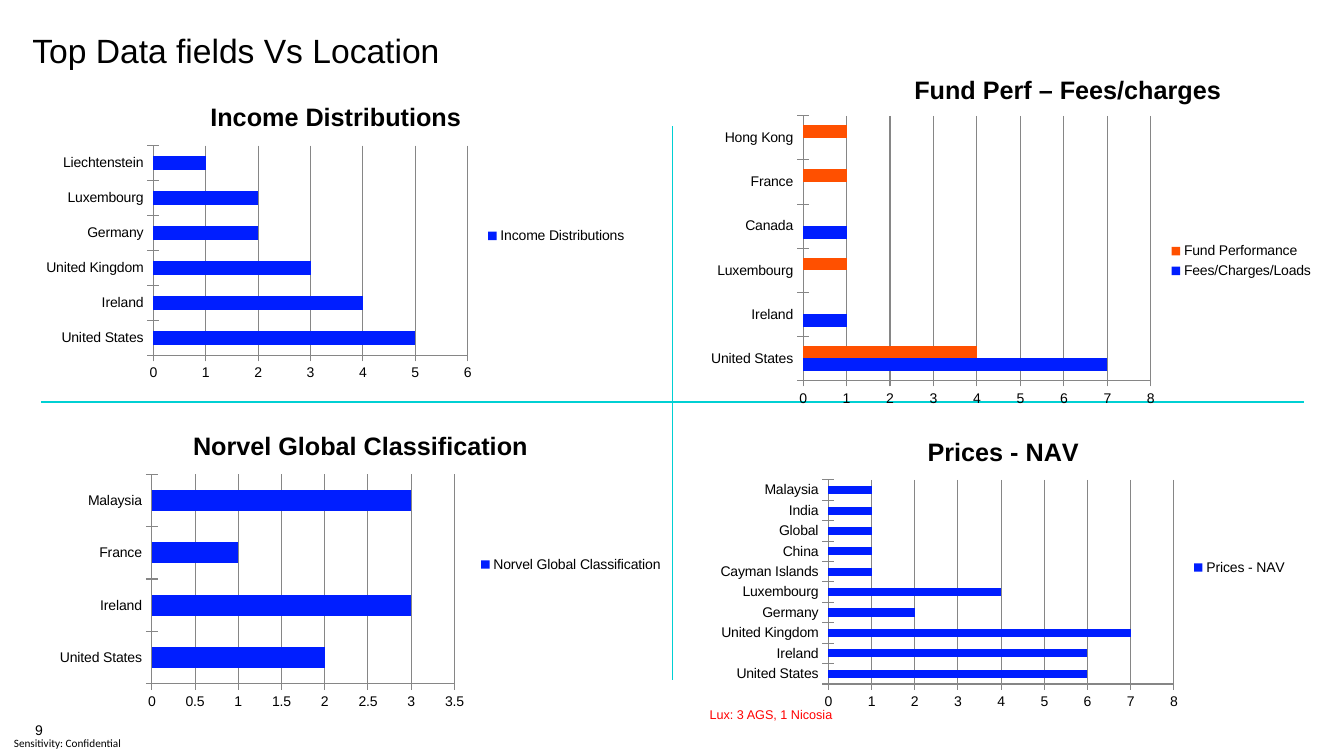
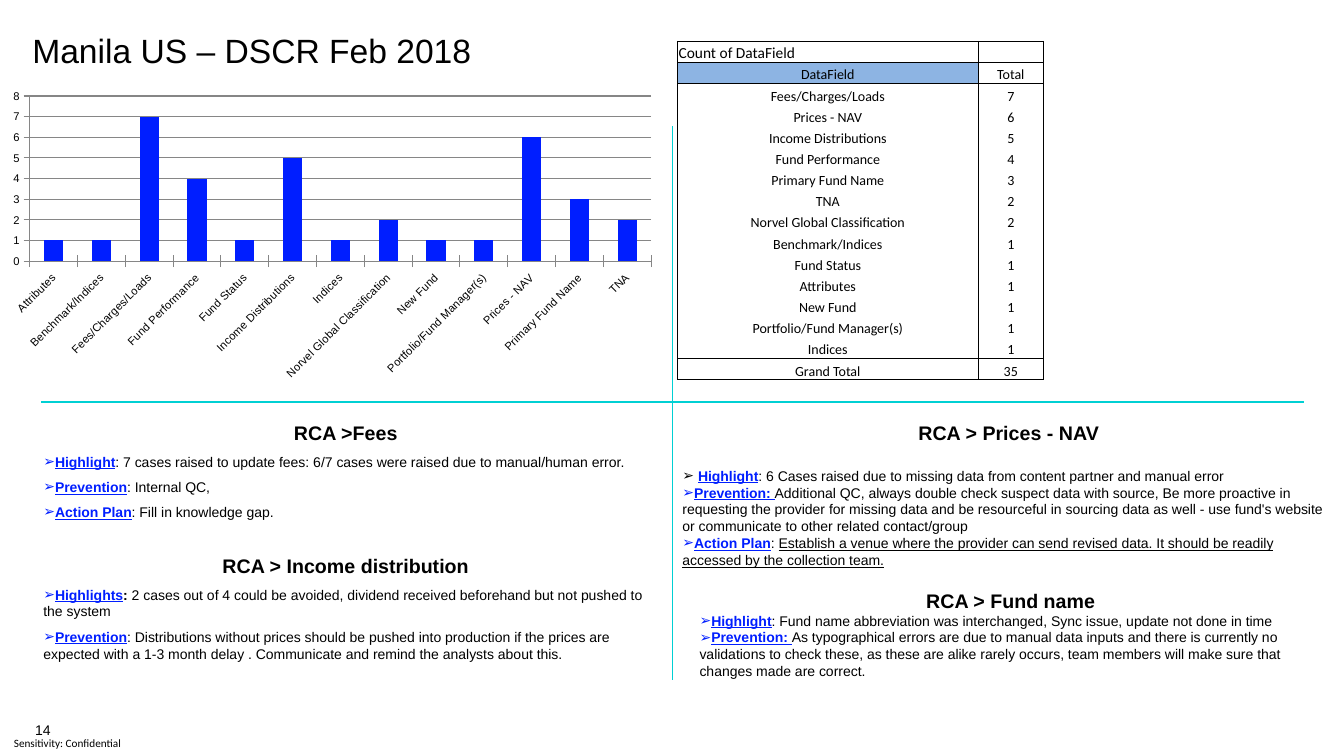
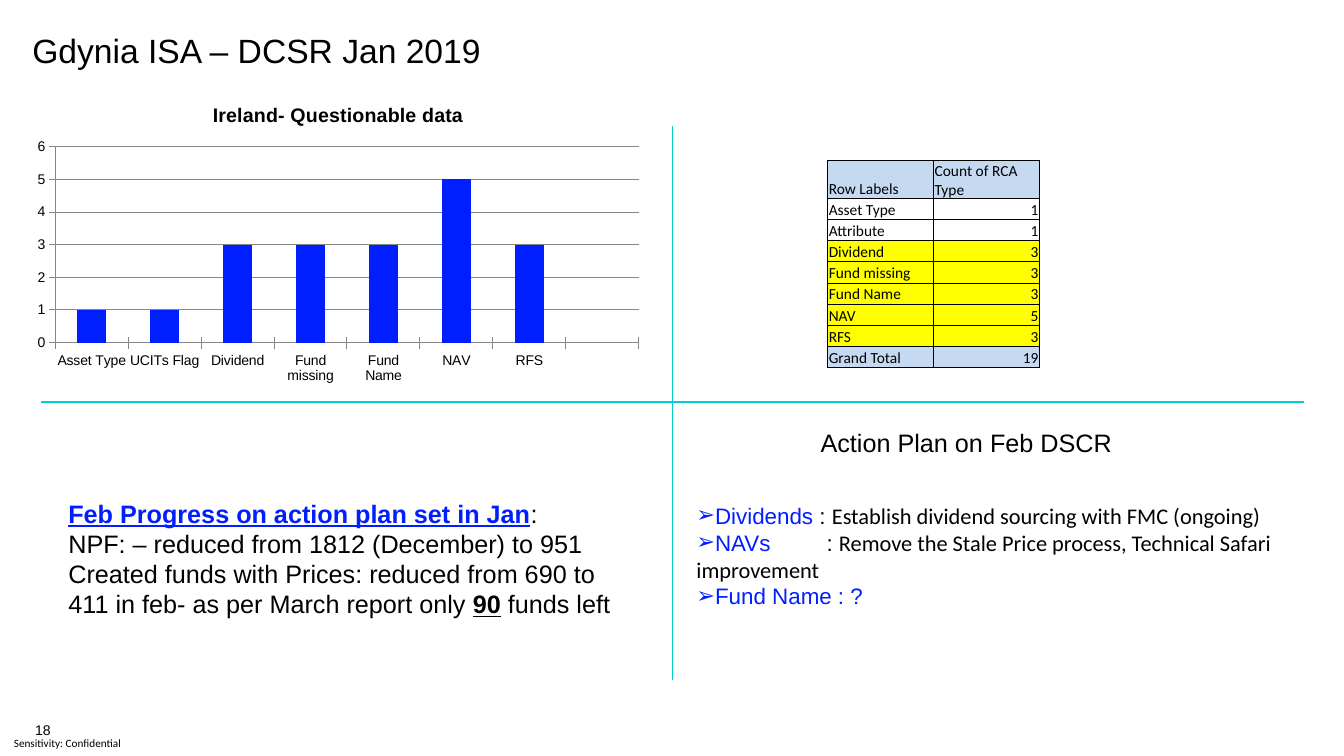
from lxml.etree import SubElement
from pptx import Presentation
from pptx.chart.data import CategoryChartData
from pptx.dml.color import RGBColor
from pptx.enum.chart import XL_CHART_TYPE, XL_LEGEND_POSITION, XL_TICK_MARK
from pptx.enum.shapes import MSO_CONNECTOR
from pptx.enum.text import MSO_ANCHOR, PP_ALIGN
from pptx.oxml.ns import qn
from pptx.util import Inches, Pt

HUES = {
    "ink": "000000", "blue": "001EFF", "orange": "FF5000", "teal": "00D0D3",
    "red": "FF0000", "grid": "868686", "head": "8DB4E3", "pale": "C5D9F1",
    "yellow": "FFFF00",
}
PLAIN = "{2D5ABB26-0587-4C30-8999-92F81FD0307C}"
CENTER, RIGHT = PP_ALIGN.CENTER, PP_ALIGN.RIGHT
BAR, COLUMN = XL_CHART_TYPE.BAR_CLUSTERED, XL_CHART_TYPE.COLUMN_CLUSTERED
GROUP = "Norvel Global Classification"


def hue(name):
    """Return a palette colour."""
    return RGBColor.from_string(HUES[name])


def para(*runs, **style):
    """Pair runs with paragraph style; a run is text or (text, marks)."""
    return runs, style


def item(label, text, **style):
    """Return a bulleted paragraph with a blue underlined label."""
    return para((label, "abu"), text, mark=True, **style)


def head(text, **style):
    """Return a centred bold heading."""
    return para(text, size=14, bold=True, align=CENTER, **style)


class Deck:
    """Hold the shared style and the current slide."""

    def __init__(self):
        """Start a wide presentation."""
        self.prs = Presentation()
        self.prs.slide_width = Inches(13.33)
        self.prs.slide_height = Inches(7.5)

    def page(self, title, number):
        """Add a slide with its title, footer and quadrant lines."""
        self.slide = self.prs.slides.add_slide(self.prs.slide_layouts[6])
        self.rule(6.67, 1.25, 6.67, 6.75)
        self.rule(12.93, 3.99, 0.41, 3.99)
        self.text((0.32, 0.34, 12.68, 0.5), [para(title, size=24, line=0.9)], pad=False)
        self.text((0.35, 7.06, 0.6, 0.27), [para(str(number))], pad=False,
                  anchor=MSO_ANCHOR.BOTTOM)
        self.text((0, 7.25, 1.34, 0.25),
                  [para("Sensitivity: Confidential", size=8, face="Calibri", align=CENTER)],
                  pad=False, anchor=MSO_ANCHOR.MIDDLE)

    def rule(self, *ends):
        """Draw a thin teal line."""
        line = self.slide.shapes.add_connector(MSO_CONNECTOR.STRAIGHT, *map(Inches, ends))
        line.line.color.rgb = hue("teal")
        line.line.width = Pt(1)
        SubElement(line._element.spPr, qn("a:effectLst"))

    def text(self, at, paras, pad=True, anchor=MSO_ANCHOR.TOP):
        """Add a wrapped text box."""
        frame = self.slide.shapes.add_textbox(*map(Inches, at)).text_frame
        frame.word_wrap = True
        frame.vertical_anchor = anchor
        if not pad:
            frame.margin_left = frame.margin_right = 0
            frame.margin_top = frame.margin_bottom = 0
        for i, (runs, style) in enumerate(paras):
            p = frame.add_paragraph() if i else frame.paragraphs[0]
            self.fill(p, runs, **style)

    def fill(self, p, runs, size=10, bold=False, color="ink", face="Arial", align=None,
             line=None, before=0, after=0, mark=False, tab=None):
        """Write the runs and style of one paragraph."""
        p.alignment = align
        p.line_spacing = line
        p.space_before, p.space_after = Pt(before), Pt(after)
        props = p._p.get_or_add_pPr()
        if mark:
            SubElement(props, qn("a:buFont"), typeface="Arial")
            SubElement(props, qn("a:buChar"), char="➢")
        if tab:
            stops = SubElement(props, qn("a:tabLst"))
            SubElement(stops, qn("a:tab"), pos=str(Inches(tab)), algn="l")
        self.font(p.font, size, color, face, bold)
        for run in runs:
            words, marks = (run, "") if isinstance(run, str) else run
            r = p.add_run()
            r.text = words
            if "a" in marks:
                r.font.color.rgb = hue("blue")
            if "b" in marks:
                r.font.bold = True
            if "u" in marks:
                r.font.underline = True
            if "c" in marks:
                r.font.name = "Calibri"

    def font(self, font, size, color="ink", face="Arial", bold=False):
        """Set the basic look of a font."""
        font.size, font.name, font.bold = Pt(size), face, bold
        font.color.rgb = hue(color)

    def chart(self, at, kind, cats, rows, title=None, head=18, size=10, legend=False,
              turn=None):
        """Add a bar or column chart; rows are (name, values, colour)."""
        data = CategoryChartData()
        data.categories = cats
        for name, vals, _ in rows:
            data.add_series(name, vals)
        chart = self.slide.shapes.add_chart(kind, *map(Inches, at), data).chart
        self.font(chart.font, size)
        chart.has_title = bool(title)
        if title:
            chart.chart_title.text_frame.text = title
            self.font(chart.chart_title.text_frame.paragraphs[0].font, head, bold=True)
        chart.has_legend = legend
        if legend:
            chart.legend.position = XL_LEGEND_POSITION.RIGHT
            chart.legend.include_in_layout = False
        plot = chart.plots[0]
        plot.gap_width = 150
        plot.vary_by_categories = False
        for series, (_, _, color) in zip(plot.series, rows):
            series.format.fill.solid()
            series.format.fill.fore_color.rgb = hue(color)
        for axis in (chart.category_axis, chart.value_axis):
            axis.major_tick_mark = XL_TICK_MARK.CROSS
            axis.format.line.color.rgb = hue("grid")
        chart.value_axis.has_major_gridlines = True
        chart.value_axis.major_gridlines.format.line.color.rgb = hue("grid")
        if turn:
            self.font(chart.category_axis.tick_labels.font, size)
            chart.category_axis._element.txPr.bodyPr.set("rot", str(turn * 60000))

    def table(self, at, widths, rows, look):
        """Add a plain table; look(row, col) gives size, align, fill and edges."""
        grid = self.slide.shapes.add_table(
            len(rows), len(widths), *map(Inches, (*at, sum(widths), 0.21 * len(rows)))).table
        grid.first_row = grid.horz_banding = False
        grid._tbl.tblPr.find(qn("a:tableStyleId")).text = PLAIN
        for col, width in zip(grid.columns, widths):
            col.width = Inches(width)
        for y, row in enumerate(rows):
            grid.rows[y].height = Inches(0.21)
            for x, words in enumerate(row):
                self.cell(grid.cell(y, x), words, *look(y, x))

    def cell(self, cell, words, size, align, color, edges):
        """Write one cell with its borders and fill."""
        cell.margin_left = cell.margin_right = cell.margin_top = Inches(0.01)
        cell.margin_bottom = 0
        cell.vertical_anchor = MSO_ANCHOR.BOTTOM
        p = cell.text_frame.paragraphs[0]
        if words:
            self.fill(p, [words], size=size, face="Calibri", align=align)
        else:
            p._p.get_or_add_endParaRPr().set("sz", str(size * 100))
        props = cell._tc.get_or_add_tcPr()
        for side in edges:
            edge = SubElement(props, qn("a:ln" + side), w=str(Pt(0.5)))
            paint = SubElement(edge, qn("a:solidFill"))
            SubElement(paint, qn("a:srgbClr"), val=HUES["ink"])
        if color:
            cell.fill.solid()
            cell.fill.fore_color.rgb = hue(color)
        else:
            cell.fill.background()


def places(deck):
    """Build the slide of fields by location."""
    deck.page("Top Data fields Vs Location", 9)
    deck.text((6.94, 6.96, 2.02, 0.25), [para("Lux: 3 AGS, 1 Nicosia", size=9, color="red")])
    base = ["United States", "Ireland"]
    for name, at, cats, vals in (
        ("Income Distributions", (0.34, 0.84, 5.98, 3),
         ["United Kingdom", "Germany", "Luxembourg", "Liechtenstein"], [5, 4, 3, 2, 2, 1]),
        (GROUP, (0.47, 4.1, 6.21, 3), ["France", "Malaysia"], [2, 3, 1, 3]),
        ("Prices - NAV", (7.03, 4.16, 5.84, 2.94),
         ["United Kingdom", "Germany", "Luxembourg", "Cayman Islands", "China", "Global",
          "India", "Malaysia"], [6, 6, 7, 2, 4, 1, 1, 1, 1, 1]),
    ):
        deck.chart(at, BAR, base + cats, [(name, vals, "blue")], title=name, legend=True)
    deck.chart((6.93, 1.09, 6.2, 3), BAR,
               base + ["Luxembourg", "Canada", "France", "Hong Kong"],
               [("Fees/Charges/Loads", [7, 1, None, 1, None, None], "blue"),
                ("Fund Performance", [4, None, 1, None, 1, 1], "orange")], legend=True)
    deck.text((8.97, 0.69, 3.56, 0.4), [para("Fund Perf – Fees/charges", size=18, bold=True)])


def manila(deck):
    """Build the Manila slide."""
    deck.page("Manila US – DSCR Feb 2018", 14)
    counts = {
        "Fees/Charges/Loads": 7, "Prices - NAV": 6, "Income Distributions": 5,
        "Fund Performance": 4, "Primary Fund Name": 3, "TNA": 2, GROUP: 2,
        "Benchmark/Indices": 1, "Fund Status": 1, "Attributes": 1, "New Fund": 1,
        "Portfolio/Fund Manager(s)": 1, "Indices": 1,
    }
    names = ["Attributes", "Benchmark/Indices", "Fees/Charges/Loads", "Fund Performance",
             "Fund Status", "Income Distributions", "Indices", GROUP, "New Fund",
             "Portfolio/Fund Manager(s)", "Prices - NAV", "Primary Fund Name", "TNA"]
    deck.chart((0, 0.83, 6.59, 3), COLUMN, names,
               [("Series 1", [counts[n] for n in names], "blue")], size=8, turn=-45)
    rows = [("Count of DataField", ""), ("DataField", "Total")]
    rows += [(n, str(v)) for n, v in counts.items()]
    rows += [("Grand Total", str(sum(counts.values()))), ("", "")]
    last = len(rows) - 1

    def look(y, x):
        """Box the header and total rows, and only the sides between."""
        edges = "T" if y == last else "LRTB" if y in (0, 1, last - 1) else "LR"
        return (10 if y else 11, CENTER if y else None,
                "head" if (y, x) == (1, 0) else None, edges)

    deck.table((6.72, 0.41), (2.98, 0.65), rows, look)
    deck.text((0.43, 4.18, 6, 2.65), [
        head("RCA >Fees", after=6),
        item("Highlight", ": 7 cases raised to update fees: 6/7 cases were raised due to "
             "manual/human error.", after=6),
        item("Prevention", ": Internal QC,", after=6),
        item("Action Plan", ": Fill in knowledge gap.", after=6),
        head("RCA > Income distribution", before=18, after=6),
        para(("Highlights", "abu"), (": ", "b"), "2 cases out of 4 could be avoided, dividend "
             "received beforehand but not pushed to the system", mark=True, after=6),
        item("Prevention", ": Distributions without prices should be pushed into production "
             "if the prices are expected with a 1-3 month delay . Communicate and remind the "
             "analysts about this.", after=6),
    ], pad=False)
    deck.text((6.67, 4.13, 6.67, 1.92), [
        head("RCA > Prices - NAV"),
        para(" ", ("Highlight", "abu"), ": 6 Cases raised due to missing data from content "
             "partner and manual error", mark=True, before=16),
        item("Prevention: ", "Additional QC, always double check suspect data with source, Be "
             "more proactive in requesting the provider for missing data and be resourceful "
             "in sourcing data as well - use fund's website or communicate to other related "
             "contact/group"),
        para(("Action Plan", "abu"), ": ", ("Establish a venue where the provider can send "
             "revised data. It should be readily accessed by the collection team.", "u"),
             mark=True),
    ])
    deck.text((6.84, 5.79, 6.37, 1.25), [
        head("RCA > Fund name"),
        item("Highlight", ": Fund name abbreviation was interchanged, Sync issue, update not "
             "done in time"),
        item("Prevention: ", "As typographical errors are due to manual data inputs and there "
             "is currently no validations to check these, as these are alike rarely occurs, "
             "team members will make sure that changes made are correct."),
    ])


def gdynia(deck):
    """Build the Gdynia slide."""
    deck.page("Gdynia ISA – DCSR Jan 2019", 18)
    shared = ["Dividend", "Fund missing", "Fund Name", "NAV", "RFS"]
    vals = [1, 1, 3, 3, 3, 5, 3]
    rows = [("Row Labels", "Count of RCA Type")]
    rows += [(n, str(v)) for n, v in zip(["Asset Type", "Attribute"] + shared, vals)]
    rows += [("Grand Total", str(sum(vals)))]

    def look(y, x):
        """Tint the ends pale and the repeated issues yellow."""
        tint = "pale" if y in (0, len(rows) - 1) else "yellow" if y > 2 else None
        return 11, RIGHT if x and y else None, tint, "LRTB"

    deck.table((8.21, 1.59), (1.05, 1.05), rows, look)
    deck.chart((0.25, 0.87, 6.21, 3), COLUMN, ["Asset Type", "UCITs Flag"] + shared + [""],
               [("Series 1", vals + [None], "blue")],
               title="Ireland- Questionable data", head=14)
    deck.text((0.58, 4.89, 5.67, 1.31), [
        para(("Feb Progress on action plan set in Jan", "abu"), ":", size=18),
        para("NPF: – reduced from 1812 (December) to 951", size=18),
        para("Created funds with Prices: reduced from 690 to 411 in feb- as per March report "
             "only ", ("90", "bu"), " funds left", size=18),
    ])
    deck.text((6.81, 4.93, 6.23, 1.18), [
        para(("Dividends ", "a"), ": ", ("Establish dividend sourcing with FMC (ongoing)", "c"),
             size=16, mark=True),
        para(("NAVs", "a"), "\t: ", ("Remove the Stale Price process, Technical Safari "
             "improvement", "c"), size=16, mark=True, tab=1.29),
        para("Fund Name : ?", size=16, color="blue", mark=True),
    ])
    deck.text((8.04, 4.19, 3.65, 0.4), [para("Action Plan on Feb DSCR", size=18)])


def main():
    """Build and save the slides."""
    deck = Deck()
    for build in (places, manila, gdynia):
        build(deck)
    deck.prs.save("out.pptx")


if __name__ == "__main__":
    main()
